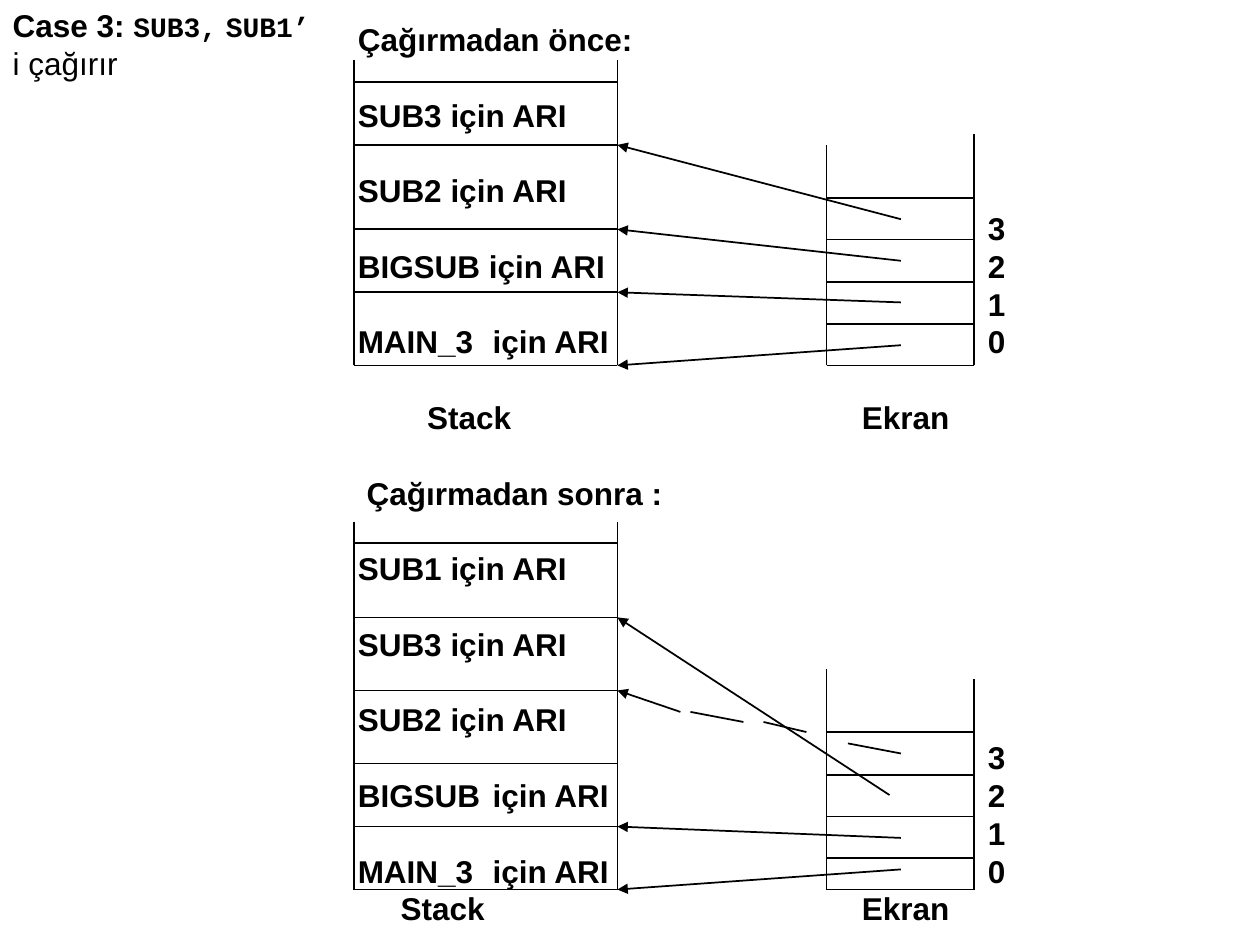
from dataclasses import dataclass

import pptx
import pptx.dml.color
import pptx.enum.shapes
import pptx.enum.text
import pptx.oxml
import pptx.oxml.ns
import pptx.util

Inches = pptx.util.Inches
Pt = pptx.util.Pt

BLACK = "000000"
STACK_LEFT, STACK_RIGHT = 2.81, 4.9
DISPLAY_LEFT, DISPLAY_RIGHT = 6.56, 7.73
LABEL_LEFT, DIGIT_LEFT, DISPLAY_LABEL_LEFT = 2.84, 7.84, 6.84
ROW_HEIGHT = 0.3


@dataclass
class Frame:
    """Open-topped column divided by horizontal lines, the last being its floor."""
    left: float
    right: float
    left_top: float
    right_top: float
    dividers: list[float]


@dataclass
class Link:
    """Line between two points, with an optional arrowhead at its end."""
    start: tuple[float, float]
    end: tuple[float, float]
    arrow: bool = True


@dataclass
class Label:
    """Text on a numbered row of the common text grid."""
    text: str
    row: int
    left: float = LABEL_LEFT


def digits(first_row: int) -> list[Label]:
    return [Label(str(3 - step), first_row + step, DIGIT_LEFT) for step in range(4)]


FRAMES = [
    # Before the call
    Frame(STACK_LEFT, STACK_RIGHT, 0.48, 0.48, [0.65, 1.15, 1.82, 2.32, 2.9]),
    Frame(DISPLAY_LEFT, DISPLAY_RIGHT, 1.15, 1.06, [1.57, 1.9, 2.24, 2.57, 2.9]),
    # After the call
    Frame(STACK_LEFT, STACK_RIGHT, 4.14, 4.14, [4.31, 4.9, 5.48, 6.06, 6.56, 7.06]),
    Frame(DISPLAY_LEFT, DISPLAY_RIGHT, 5.31, 5.39, [5.81, 6.15, 6.48, 6.81, 7.06]),
]

LINKS = [
    # Before the call
    Link((7.15, 2.74), (STACK_RIGHT, 2.9)),
    Link((7.15, 2.4), (STACK_RIGHT, 2.32)),
    Link((7.15, 2.07), (STACK_RIGHT, 1.82)),
    Link((7.15, 1.74), (STACK_RIGHT, 1.15)),
    # After the call
    Link((7.15, 6.9), (STACK_RIGHT, 7.06)),
    Link((7.15, 6.65), (STACK_RIGHT, 6.56)),
    Link((7.06, 6.31), (STACK_RIGHT, 4.9)),
    # Interrupted link to SUB3
    Link((5.4, 5.65), (STACK_RIGHT, 5.48)),
    Link((7.15, 5.98), (6.73, 5.9), arrow=False),
    Link((6.4, 5.81), (6.06, 5.73), arrow=False),
    Link((5.48, 5.65), (5.9, 5.73), arrow=False),
]

LABELS = [
    # Before the call
    Label("Çağırmadan önce:", 1),
    Label("SUB3 için ARI", 3),
    Label("SUB2 için ARI", 5),
    Label("BIGSUB için ARI", 7),
    Label("MAIN_3\t için ARI", 9),
    *digits(6),
    Label("Stack", 11, 3.39),
    Label("Ekran", 11, DISPLAY_LABEL_LEFT),
    # After the call
    Label("Çağırmadan sonra :", 13, 2.91),
    Label("SUB1 için ARI", 15),
    Label("SUB3 için ARI", 17),
    Label("SUB2 için ARI", 19),
    Label("BIGSUB\t için ARI", 21),
    Label("MAIN_3\t için ARI", 23),
    *digits(20),
    Label("Stack", 24, 3.18),
    Label("Ekran", 24, DISPLAY_LABEL_LEFT),
]


def color(value: str) -> pptx.dml.color.RGBColor:
    return pptx.dml.color.RGBColor.from_string(value)


def add_span(para, text: str, *, size: float = 18, font: str = "Arial",
             bold: bool = True) -> None:
    span = para.add_run()
    span.text = text
    span.font.name = font
    span.font.size = Pt(size)
    span.font.bold = bold
    span.font.color.rgb = color(BLACK)


def draw_line(page, link: Link) -> None:
    points = [Inches(value) for value in (*link.start, *link.end)]
    line = page.shapes.add_connector(
        pptx.enum.shapes.MSO_CONNECTOR.STRAIGHT, *points)
    line.line.color.rgb = color(BLACK)
    line.line.width = Pt(1)
    if link.arrow:
        outline = line.line._get_or_add_ln()
        head = pptx.oxml.parse_xml(
            f'<a:tailEnd {pptx.oxml.ns.nsdecls("a")} type="triangle"/>')
        outline.append(head)
    line._element.spPr.append(
        pptx.oxml.parse_xml(f'<a:effectLst {pptx.oxml.ns.nsdecls("a")}/>'))


def draw_frame(page, frame: Frame) -> None:
    floor = frame.dividers[-1]
    for side, top in ((frame.left, frame.left_top), (frame.right, frame.right_top)):
        draw_line(page, Link((side, floor), (side, top), arrow=False))
    for height in frame.dividers:
        draw_line(page, Link((frame.left, height), (frame.right, height), arrow=False))


def draw_label(page, label: Label) -> None:
    width = 2.6 if label.left < STACK_RIGHT else 0.9
    box = page.shapes.add_textbox(
        Inches(label.left), Inches(ROW_HEIGHT * label.row - 0.14),
        Inches(width), Inches(ROW_HEIGHT))
    frame = box.text_frame
    frame.word_wrap = True
    frame.margin_left = frame.margin_right = 0
    frame.margin_top = frame.margin_bottom = 0
    frame.vertical_anchor = pptx.enum.text.MSO_ANCHOR.MIDDLE
    add_span(frame.paragraphs[0], label.text)


def fill_title(page) -> None:
    title = page.shapes.title
    title.left, title.top = Inches(0), Inches(0)
    title.width, title.height = Inches(2.59), Inches(0.71)
    frame = title.text_frame
    frame.word_wrap = True
    frame.auto_size = pptx.enum.text.MSO_AUTO_SIZE.NONE
    frame.vertical_anchor = pptx.enum.text.MSO_ANCHOR.TOP
    first, second = frame.paragraphs[0], frame.add_paragraph()
    for para in (first, second):
        para.alignment = pptx.enum.text.PP_ALIGN.LEFT
        para.line_spacing = Pt(21.6)
    add_span(first, "Case 3: ")
    add_span(first, "SUB3,", size=16, font="Courier New")
    add_span(first, " ")
    add_span(first, "SUB1’", size=16, font="Courier New")
    add_span(second, "i çağırır", bold=False)


def main() -> None:
    deck = pptx.Presentation()
    deck.slide_width, deck.slide_height = Inches(10), Inches(7.5)
    page = deck.slides.add_slide(deck.slide_layouts[5])
    fill_title(page)
    for label in LABELS:
        draw_label(page, label)
    for frame in FRAMES:
        draw_frame(page, frame)
    for link in LINKS:
        draw_line(page, link)
    deck.save("out.pptx")


if __name__ == "__main__":
    main()
